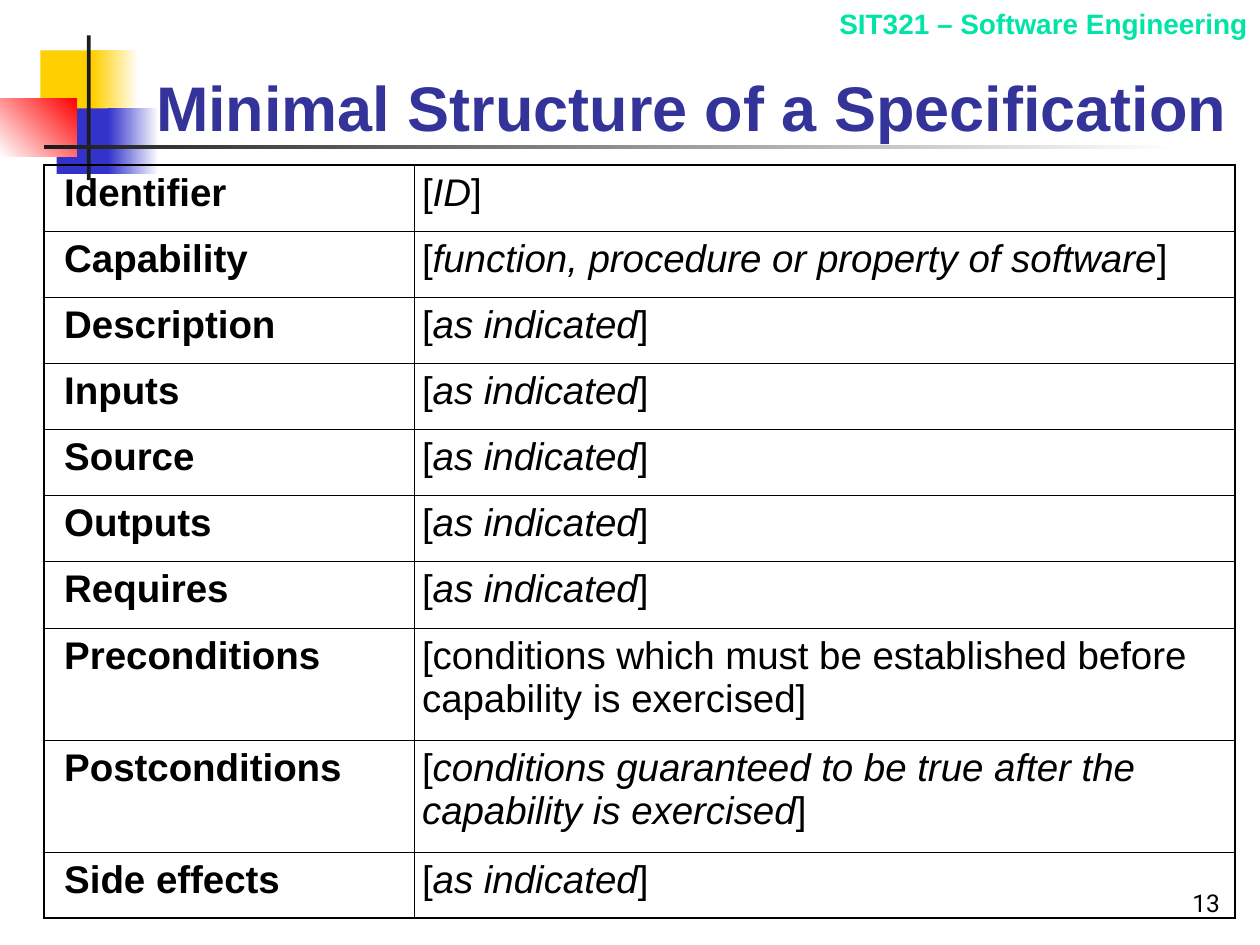
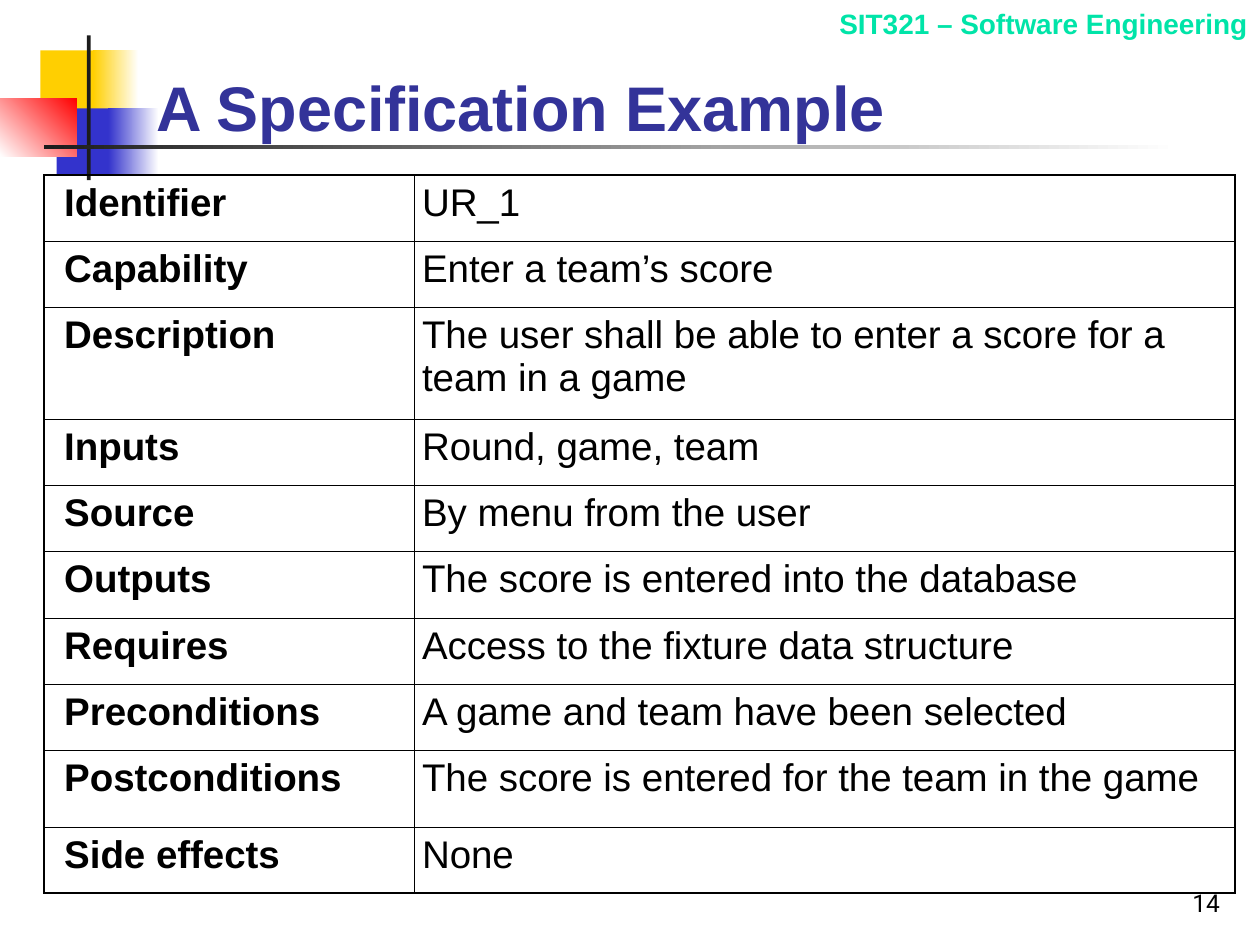
from lxml.etree import SubElement
from pptx import Presentation
from pptx.dml.color import RGBColor
from pptx.enum.shapes import MSO_SHAPE
from pptx.enum.text import MSO_ANCHOR, PP_ALIGN
from pptx.oxml.ns import qn
from pptx.util import Inches, Pt

YELLOW, BLUE, RED = "FFCF01", "3333CC", "FF0000"
WHITE, BLACK, CHARCOAL = "FFFFFF", "000000", "1C1C1C"
OUTER_RULE, INNER_RULE = 1.08, 0.45
TABLE_LEFT, COLUMN_WIDTHS = 0.35, (2.94, 6.51)

COURSE_FONT = {"name": "Arial", "size": Pt(16), "bold": True}
TITLE_FONT = {"name": "Arial", "size": Pt(36), "bold": True}
NUMBER_FONT = {"name": "Roboto", "size": Pt(14)}
FIELD_FONT = {"name": "Arial", "size": Pt(22), "bold": True}
ENTRY_FONT = {"name": "Arial", "size": Pt(22), "bold": False}

ORNAMENT = [
    ((0.32, 0.4, 0.48, 0.52), (YELLOW,), 0),
    ((0.74, 0.4, 0.36, 0.52), (WHITE, YELLOW), 180),
    ((0.45, 0.86, 0.46, 0.52), (BLUE,), 0),
    ((0.86, 0.86, 0.4, 0.52), (WHITE, BLUE), 180),
    ((0, 0.78, 0.61, 0.46), (RED, WHITE), 225),
    ((0.69, 0.28, 0.03, 1.15), (CHARCOAL,), 0),
    ((0.35, 1.15, 9, 0.03), (WHITE, CHARCOAL), 180),
]

FIELDS = ["Identifier", "Capability", "Description", "Inputs", "Source", "Outputs",
          "Requires", "Preconditions", "Postconditions", "Side effects"]

SPECIFICATIONS = [
    {
        "number": 13,
        "title": "Minimal Structure of a Specification",
        "title_width": 8.7,
        "top": 1.31,
        "height": 5.98,
        "tall_rows": {"Preconditions": 0.89, "Postconditions": 0.89},
        "entries": ["[*ID*]", "[*function, procedure or property of software*]"]
        + ["[*as indicated*]"] * 5
        + ["[conditions which must be established before capability is exercised]",
           "[*conditions guaranteed to be true after the capability is exercised*]",
           "[*as indicated*]"],
    },
    {
        "number": 14,
        "title": "A Specification Example",
        "title_width": 7.36,
        "top": 1.39,
        "height": 5.7,
        "tall_rows": {"Description": 0.89, "Postconditions": 0.61},
        "entries": ["UR_1", "Enter a team’s score",
                    "The user shall be able to enter a score for a team in a game",
                    "Round, game, team", "By menu from the user",
                    "The score is entered into the database",
                    "Access to the fixture data structure",
                    "A game and team have been selected",
                    "The score is entered for the team in the game", "None"],
    },
]


def color(value):
    return RGBColor.from_string(value)


def apply_format(target, values):
    for name, value in values.items():
        setattr(target, name, value)


def write_runs(paragraph, text, font, ink):
    for index, part in enumerate(text.split("*")):
        if part:
            run = paragraph.add_run()
            run.text = part
            apply_format(run.font, font)
            run.font.italic = index % 2 == 1
            run.font.color.rgb = color(ink)


def add_label(slide, box, text, font, ink, align, anchor):
    frame = slide.shapes.add_textbox(*map(Inches, box)).text_frame
    apply_format(frame, {"word_wrap": True, "vertical_anchor": anchor})
    frame.paragraphs[0].alignment = align
    write_runs(frame.paragraphs[0], text, font, ink)


def add_ornament(slide):
    for box, shades, angle in ORNAMENT:
        block = slide.shapes.add_shape(MSO_SHAPE.RECTANGLE, *map(Inches, box))
        block.shadow.inherit = False
        block.line.fill.background()
        if len(shades) == 1:
            block.fill.solid()
            block.fill.fore_color.rgb = color(shades[0])
        else:
            block.fill.gradient()
            block.fill.gradient_angle = angle
            for stop, shade in zip(block.fill.gradient_stops, shades):
                stop.color.rgb = color(shade)


def add_borders(cell, outer_sides):
    properties = cell._tc.get_or_add_tcPr()
    for side in "LRTB":
        width = OUTER_RULE if side in outer_sides else INNER_RULE
        rule = SubElement(properties, qn(f"a:ln{side}"), w=str(Pt(width)))
        ink = SubElement(rule, qn("a:solidFill"))
        SubElement(ink, qn("a:srgbClr"), val=BLACK)


def add_specification_table(slide, top, height, tall_rows, entries):
    box = (TABLE_LEFT, top, sum(COLUMN_WIDTHS), height)
    table = slide.shapes.add_table(len(FIELDS), 2, *map(Inches, box)).table
    apply_format(table, {"first_row": False, "horz_banding": False})
    for column, width in zip(table.columns, COLUMN_WIDTHS):
        column.width = Inches(width)
    plain_height = (height - sum(tall_rows.values())) / (len(FIELDS) - len(tall_rows))
    for index, (field, entry) in enumerate(zip(FIELDS, entries)):
        table.rows[index].height = Inches(tall_rows.get(field, plain_height))
        row_edge = {0: "T", len(FIELDS) - 1: "B"}.get(index, "")
        columns = ((field, FIELD_FONT, 0.16, "L"), (entry, ENTRY_FONT, 0.06, "R"))
        for cell, (text, font, margin, edge) in zip(table.rows[index].cells, columns):
            cell.margin_left = Inches(margin)
            add_borders(cell, row_edge + edge)
            cell.fill.background()
            write_runs(cell.text_frame.paragraphs[0], text, font, BLACK)


def add_specification_slide(deck, content):
    slide = deck.slides.add_slide(deck.slide_layouts[6])
    add_ornament(slide)
    add_label(slide, (6.53, 0, 3.47, 0.37), "SIT321 – Software Engineering",
              COURSE_FONT, "00E4A8", PP_ALIGN.RIGHT, MSO_ANCHOR.TOP)
    add_label(slide, (1.14, 0.44, content["title_width"], 0.75), content["title"],
              TITLE_FONT, "333399", PP_ALIGN.LEFT, MSO_ANCHOR.BOTTOM)
    add_specification_table(slide, content["top"], content["height"],
                            content["tall_rows"], content["entries"])
    add_label(slide, (7.7, 6.83, 2.08, 0.5), str(content["number"]),
              NUMBER_FONT, BLACK, PP_ALIGN.RIGHT, MSO_ANCHOR.BOTTOM)


def main():
    deck = Presentation()
    apply_format(deck, {"slide_width": Inches(10), "slide_height": Inches(7.5)})
    for content in SPECIFICATIONS:
        add_specification_slide(deck, content)
    deck.save("out.pptx")


if __name__ == "__main__":
    main()
